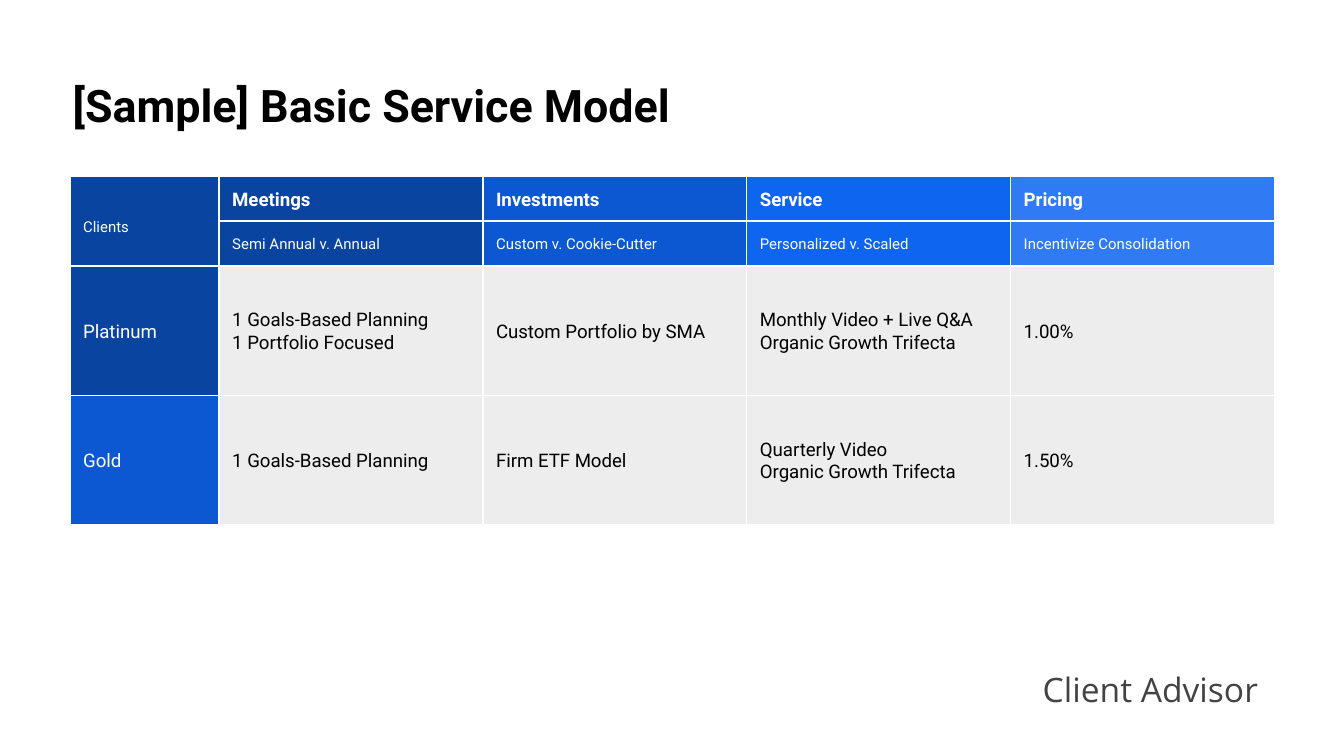
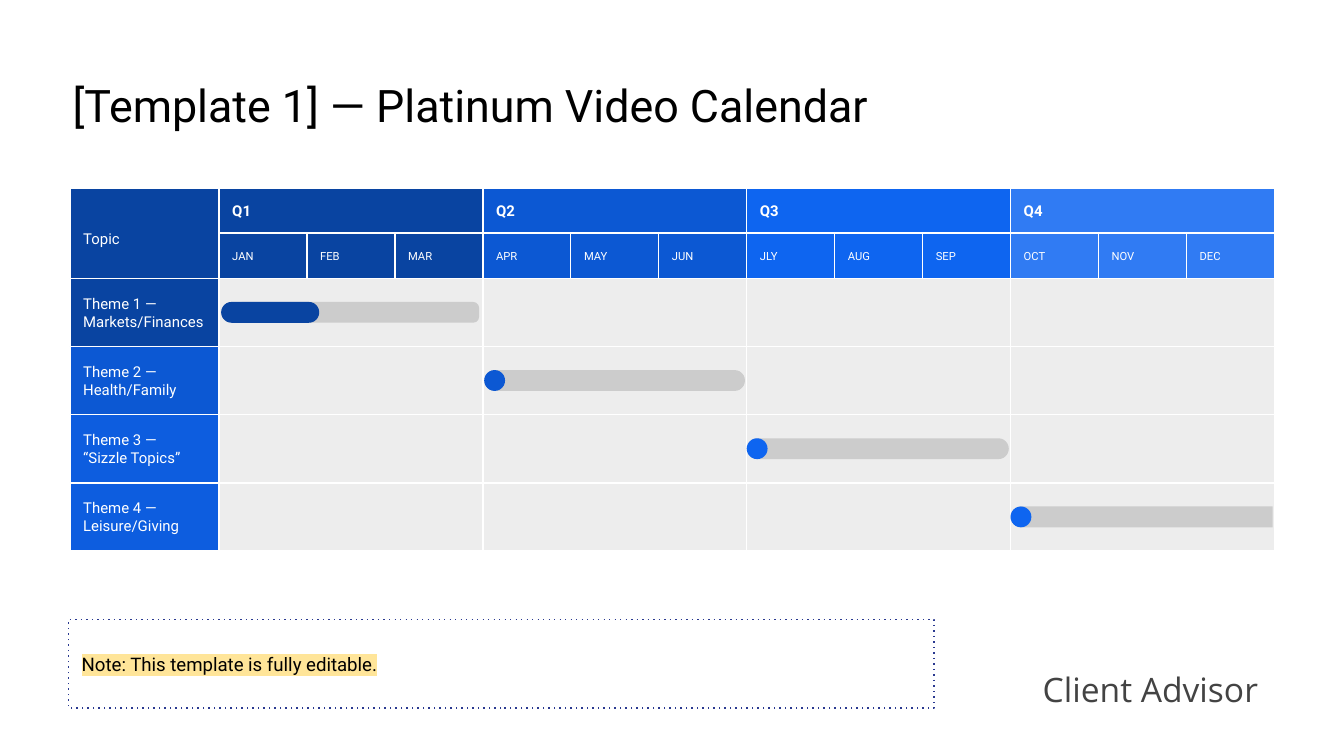
"""Build a service model grid and a quarterly video calendar."""
from pptx import Presentation
from pptx.dml.color import RGBColor
from pptx.enum.shapes import MSO_SHAPE
from pptx.enum.text import MSO_ANCHOR, MSO_AUTO_SIZE, PP_ALIGN
from pptx.oxml.ns import qn
from pptx.oxml.xmlchemy import OxmlElement
from pptx.util import Inches, Pt

COLORS = {
    "navy": "0944A1", "royal": "0C58D3", "cobalt": "0D5DDF", "blue": "0E65F0",
    "sky": "307BF3", "cell": "EDEDED", "track": "CCCCCC", "white": "FFFFFF",
    "black": "000000", "footer": "434343", "dots": "2A3990", "marker": "FFE599",
}
COLUMN_COLORS = ["navy", "royal", "blue", "sky"]

deck = Presentation()
deck.slide_width, deck.slide_height = Inches(10), Inches(5.625)
X, Y = deck.slide_width / 100, deck.slide_height / 100

LEFT, LABEL_WIDTH, COLUMN_WIDTH = 5.2 * X, 11.1 * X, 19.63 * X
MONTH_WIDTH = COLUMN_WIDTH / 3
HEADER_HEIGHT = 5.96 * Y
COLUMNS = [LEFT + LABEL_WIDTH + index * COLUMN_WIDTH for index in range(4)]


def write(shape, text, size, color="black", bold=False, font="Roboto", anchor=MSO_ANCHOR.MIDDLE):
    frame = shape.text_frame
    frame.word_wrap = True
    frame.auto_size = MSO_AUTO_SIZE.NONE
    frame.vertical_anchor = anchor
    frame.margin_left = frame.margin_right = Inches(0.1)
    frame.margin_top = frame.margin_bottom = Inches(0.1)
    for index, line in enumerate(text.split("\n")):
        para = frame.add_paragraph() if index else frame.paragraphs[0]
        para.alignment = PP_ALIGN.LEFT
        span = para.add_run()
        span.text = line
        span.font.size, span.font.bold, span.font.name = Pt(size), bold, font
        span.font.color.rgb = RGBColor.from_string(COLORS[color])


def draw(page, kind, left, top, width, height, fill=None, line=None):
    box = page.shapes.add_shape(kind, round(left), round(top), round(width), round(height))
    box.shadow.inherit = False
    if fill:
        box.fill.solid()
        box.fill.fore_color.rgb = RGBColor.from_string(COLORS[fill])
    else:
        box.fill.background()
    if line:
        box.line.color.rgb = RGBColor.from_string(COLORS[line])
        box.line.width = Pt(0.75)
    else:
        box.line.fill.background()
    return box


SLIDES = [
    {
        "title": "[Sample] Basic Service Model", "bold": True, "corner": "Clients",
        "top": 23.29 * Y, "row_height": 17.07 * Y, "head_size": 10, "label_size": 10,
        "heads": [
            ("Meetings", ["Semi Annual v. Annual"]),
            ("Investments", ["Custom v. Cookie-Cutter"]),
            ("Service", ["Personalized v. Scaled"]),
            ("Pricing", ["Incentivize Consolidation"]),
        ],
        "subhead_size": 8,
        "rows": [
            ("Platinum", "navy", ["1 Goals-Based Planning\n1 Portfolio Focused",
                                  "Custom Portfolio by SMA",
                                  "Monthly Video + Live Q&A\nOrganic Growth Trifecta", "1.00%"]),
            ("Gold", "royal", ["1 Goals-Based Planning", "Firm ETF Model",
                               "Quarterly Video\nOrganic Growth Trifecta", "1.50%"]),
        ],
    },
    {
        "title": "[Template 1] — Platinum Video Calendar", "bold": False, "corner": "Topic",
        "top": 24.89 * Y, "row_height": 9.02 * Y, "head_size": 8, "label_size": 8,
        "heads": [
            ("Q1", ["JAN", "FEB", "MAR"]),
            ("Q2", ["APR", "MAY", "JUN"]),
            ("Q3", ["JLY", "AUG", "SEP"]),
            ("Q4", ["OCT", "NOV", "DEC"]),
        ],
        "subhead_size": 6,
        "rows": [
            ("Theme 1 —\nMarkets/Finances", "navy", [""] * 4),
            ("Theme 2 —\nHealth/Family", "royal", [""] * 4),
            ("Theme 3 —\n“Sizzle Topics”", "cobalt", [""] * 4),
            ("Theme 4 —\nLeisure/Giving", "cobalt", [""] * 4),
        ],
    },
]

for content in SLIDES:
    page = deck.slides.add_slide(deck.slide_layouts[5])
    title = page.shapes.title
    title.left, title.top = round(4.4 * X), round(8 * Y)
    title.width, title.height = round(93.2 * X), round(11.73 * Y)
    write(title, content["title"], 24, bold=content["bold"])

    top, row_height = content["top"], content["row_height"]
    body_top = top + 2 * HEADER_HEIGHT
    for row, (label, color, values) in enumerate(content["rows"]):
        row_top = body_top + row * row_height
        for left, value in zip(COLUMNS, values):
            box = draw(page, MSO_SHAPE.RECTANGLE, left, row_top, COLUMN_WIDTH, row_height, "cell", "white")
            if value:
                write(box, value, 10)
        box = draw(page, MSO_SHAPE.RECTANGLE, LEFT, row_top, LABEL_WIDTH, row_height, color, "white")
        write(box, label, content["label_size"], "white")

    for left, color, (head, subheads) in zip(COLUMNS, COLUMN_COLORS, content["heads"]):
        box = draw(page, MSO_SHAPE.RECTANGLE, left, top, COLUMN_WIDTH, HEADER_HEIGHT, color, "white")
        write(box, head, content["head_size"], "white", bold=True)
        width = COLUMN_WIDTH / len(subheads)
        for index, subhead in enumerate(subheads):
            box = draw(page, MSO_SHAPE.RECTANGLE, left + index * width, top + HEADER_HEIGHT,
                       width, HEADER_HEIGHT, color, "white")
            write(box, subhead, content["subhead_size"], "white")

    corner = draw(page, MSO_SHAPE.RECTANGLE, LEFT, top, LABEL_WIDTH, 2 * HEADER_HEIGHT, "navy", "white")
    write(corner, content["corner"], 8, "white", anchor=MSO_ANCHOR.BOTTOM)
    corner.text_frame.margin_bottom = Inches(0.23)

    footer = page.shapes.add_textbox(round(76.6 * X), round(86.75 * Y), round(35.1 * X), round(9.78 * Y))
    write(footer, "Client Advisor", 18, "footer", font="Open Sans", anchor=MSO_ANCHOR.TOP)

THICKNESS = 1.55 * X
BARS = [
    (0, 0.95, 18.4, 0.29, "track"), (0, 0.15, 7.3, 0.5, "navy"),
    (1, 0.1, 19.4, 0.5, "track"), (1, 0.1, 1.55, 0.5, "royal"),
    (2, 0, 19.5, 0.5, "track"), (2, 0, 1.55, 0.5, "blue"),
    (3, 0, 19.5, 0, "track"), (3, 0, 1.55, 0.5, "blue"),
]
for quarter, offset, length, right_rounding, color in BARS:
    center_x = COLUMNS[quarter] + (offset + length / 2) * X
    center_y = body_top + (quarter + 0.5) * row_height
    bar = draw(page, MSO_SHAPE.ROUND_2_SAME_RECTANGLE, center_x - THICKNESS / 2,
               center_y - length * X / 2, THICKNESS, length * X, color)
    bar.rotation = 90
    bar.adjustments[0], bar.adjustments[1] = right_rounding, 0.5

note = draw(page, MSO_SHAPE.RECTANGLE, 5.1 * X, 81.96 * Y, 64.4 * X, 11.73 * Y, line="dots")
dash = OxmlElement("a:prstDash")
dash.set("val", "dot")
note.line.fill
note._element.spPr.find(qn("a:ln")).append(dash)
write(note, "Note: This template is fully editable.", 10)
highlight = OxmlElement("a:highlight")
marker = OxmlElement("a:srgbClr")
marker.set("val", COLORS["marker"])
highlight.append(marker)
note._element.find(".//" + qn("a:latin")).addprevious(highlight)

deck.save("out.pptx")
